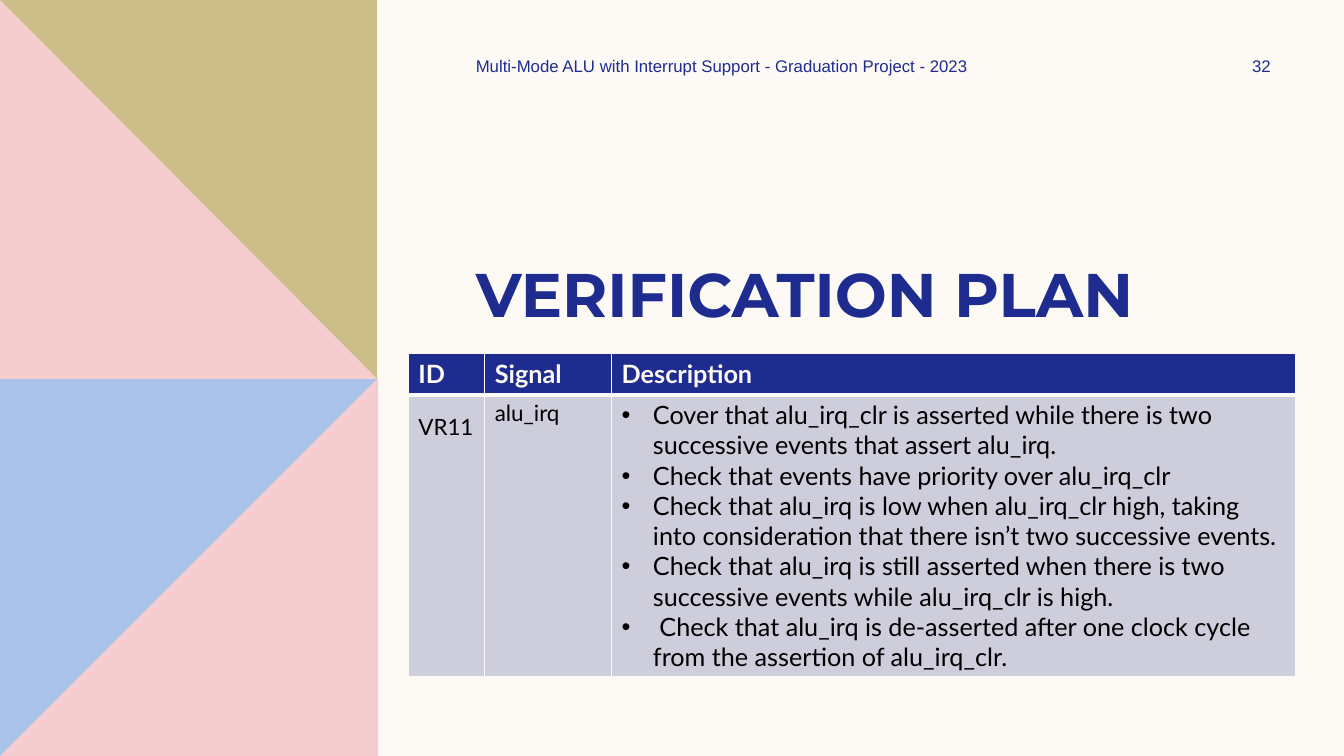
from lxml.etree import SubElement
from pptx import Presentation
from pptx.dml.color import RGBColor
from pptx.enum.text import MSO_ANCHOR, PP_ALIGN
from pptx.oxml import parse_xml
from pptx.oxml.ns import nsdecls, qn
from pptx.util import Inches, Pt

# The slide is a grid of 32 columns by 18 rows of square units
SLIDE_WIDTH, SLIDE_HEIGHT, ROWS = 13.33, 7.5, 18
NAVY, CREAM, GREY, BLACK = "1F2C8F", "FDFAF6", "CDCDDB", "000000"
BLUE, PINK, OLIVE = "AAC3E8", "F5CDCE", "CCBE89"

BULLETS = [
    "Cover that alu_irq_clr is asserted while there is two successive events that assert alu_irq.",
    "Check that events have priority over alu_irq_clr",
    "Check that alu_irq is low when alu_irq_clr high, taking into consideration "
    "that there isn’t two successive events.",
    "Check that alu_irq is still asserted when there is two successive events "
    "while alu_irq_clr is high.",
    " Check that alu_irq is de-asserted after one clock cycle from the assertion of alu_irq_clr.",
]


def units(count):
    return Inches(count * SLIDE_HEIGHT / ROWS)


def color(hex_string):
    return RGBColor.from_string(hex_string)


def style(paragraph, size, font, hex_string, bold=False):
    for run in paragraph.runs:
        run.font.size = Pt(size)
        run.font.name = font
        run.font.bold = bold
        run.font.color.rgb = color(hex_string)


def add_polygon(slide, points, hex_string):
    corners = [(units(column), units(row)) for column, row in points]
    builder = slide.shapes.build_freeform(*corners[0], scale=1.0)
    builder.add_line_segments(corners[1:], close=True)
    shape = builder.convert_to_shape()
    shape.shadow.inherit = False
    shape.fill.solid()
    shape.fill.fore_color.rgb = color(hex_string)
    shape.line.fill.background()


def add_text(slide, text, box, size, font, bold=False,
             align=PP_ALIGN.LEFT, anchor=MSO_ANCHOR.MIDDLE):
    text_frame = slide.shapes.add_textbox(*map(units, box)).text_frame
    text_frame.word_wrap = True
    text_frame.vertical_anchor = anchor
    text_frame.text = text
    paragraph = text_frame.paragraphs[0]
    paragraph.alignment = align
    style(paragraph, size, font, NAVY, bold)


def add_bullet(paragraph):
    properties = paragraph._p.get_or_add_pPr()
    properties.set("marL", str(Inches(0.31)))
    properties.set("indent", str(-Inches(0.31)))
    SubElement(properties, qn("a:buFont"), typeface="Arial")
    SubElement(properties, qn("a:buChar"), char="•")


def set_borders(cell, widths):
    properties = cell._tc.get_or_add_tcPr()
    for index, (side, width) in enumerate(zip("LRTB", widths)):
        properties.insert(index, parse_xml(
            f'<a:ln{side} {nsdecls("a")} w="{Pt(width)}"><a:solidFill>'
            f'<a:srgbClr val="{CREAM}"/></a:solidFill></a:ln{side}>'))


def fill_cell(cell, lines, size, fill, text_color, borders, bold=False, bullets=False):
    cell.fill.solid()
    cell.fill.fore_color.rgb = color(fill)
    set_borders(cell, borders)
    cell.text_frame.text = "\n".join(lines)
    for paragraph in cell.text_frame.paragraphs:
        if bullets:
            add_bullet(paragraph)
        style(paragraph, size, "Lato", text_color, bold)


def add_plan_table(slide):
    box = (9.72, 8.42, 21.12, 7.7)
    table = slide.shapes.add_table(2, 3, *map(units, box)).table
    for column, width in zip(table.columns, (1.82, 3.02, 16.28)):
        column.width = units(width)
    for row, height in zip(table.rows, (0.98, 6.72)):
        row.height = units(height)

    # Header row
    for index, heading in enumerate(("ID", "Signal", "Description")):
        fill_cell(table.cell(0, index), [heading], 18, NAVY, CREAM, (1, 1, 1, 3), bold=True)

    # Requirement row
    body = [(["VR11"], 16), (["alu_irq"], 16), (BULLETS, 18)]
    for index, (lines, size) in enumerate(body):
        fill_cell(table.cell(1, index), lines, size, GREY, BLACK, (1, 1, 3, 1),
                  bullets=len(lines) > 1)
    table.cell(1, 0).text_frame.paragraphs[0].line_spacing = 1.5


def main():
    presentation = Presentation()
    presentation.slide_width = Inches(SLIDE_WIDTH)
    presentation.slide_height = Inches(SLIDE_HEIGHT)
    slide = presentation.slides.add_slide(presentation.slide_layouts[6])
    slide.background.fill.solid()
    slide.background.fill.fore_color.rgb = color(CREAM)

    # Two squares on the left, each half covered by a pink triangle
    add_polygon(slide, [(0, 9), (9, 9), (9, 18), (0, 18)], BLUE)
    add_polygon(slide, [(9, 9), (9, 18), (0, 18)], PINK)
    add_polygon(slide, [(0, 0), (8.98, 0), (8.98, 9.02), (0, 9.02)], OLIVE)
    add_polygon(slide, [(0, 0), (8.98, 9.02), (0, 9.02)], PINK)

    # Title, running header and page number
    add_text(slide, "VERIFICATION PLAN", (11.09, 5.98, 20.9, 2.02), 44, "Montserrat",
             bold=True, anchor=MSO_ANCHOR.TOP)
    add_text(slide, "Multi-Mode ALU with Interrupt Support - Graduation Project - 2023",
             (11.09, 1.2, 14.4, 0.72), 12, "Arial")
    add_text(slide, "32", (28.73, 1.2, 2.59, 0.72), 12, "Arial", align=PP_ALIGN.CENTER)

    add_plan_table(slide)
    presentation.save("out.pptx")


if __name__ == "__main__":
    main()
